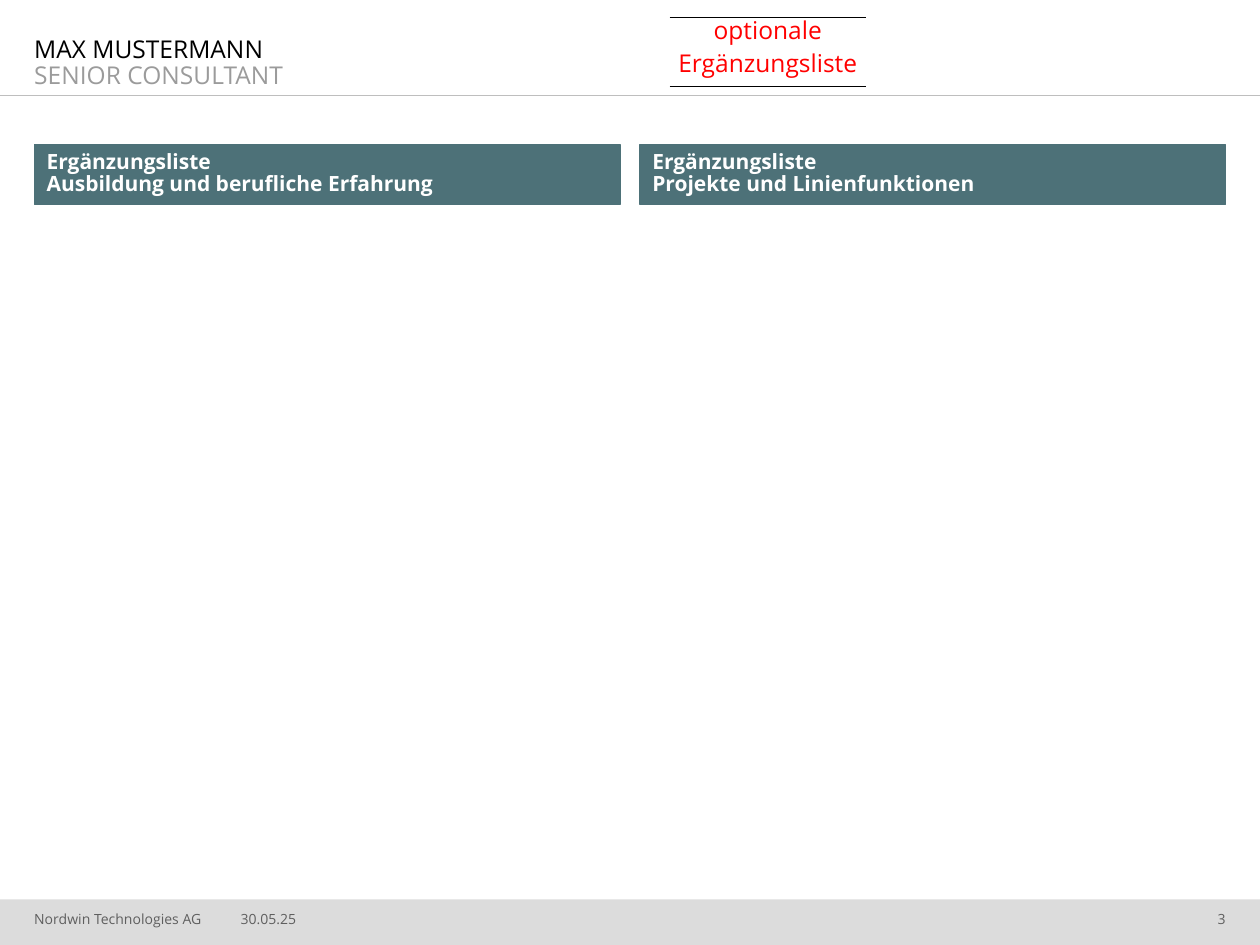
from lxml.etree import SubElement
from pptx import Presentation
from pptx.dml.color import RGBColor
from pptx.enum.shapes import MSO_CONNECTOR, MSO_SHAPE
from pptx.enum.text import MSO_ANCHOR, MSO_AUTO_SIZE, PP_ALIGN
from pptx.oxml.ns import qn
from pptx.util import Cm, Pt

FONT = "Open Sans"
SLIDE_WIDTH, SLIDE_HEIGHT = 25.4, 19.05
MARGIN = 0.69
TEAL, GREY = "4D7178", "5F5F5F"


def color(hex_value):
    return RGBColor.from_string(hex_value)


def apply_format(target, values):
    for name, value in values.items():
        setattr(target, name, value)


def place(shape, box):
    names = ("left", "top", "width", "height")
    apply_format(shape, dict(zip(names, map(Cm, box))))


def format_frame(shape, insets, anchor=MSO_ANCHOR.TOP, wrap=True):
    left, top, right, bottom = map(Cm, insets)
    apply_format(shape.text_frame, {
        "margin_left": left, "margin_top": top,
        "margin_right": right, "margin_bottom": bottom,
        "auto_size": MSO_AUTO_SIZE.NONE,
        "vertical_anchor": anchor, "word_wrap": wrap,
    })


def write_lines(paragraph, lines, size, bold=False, align=PP_ALIGN.LEFT, before=0):
    """Fill one paragraph with (text, colour) lines parted by line breaks."""
    apply_format(paragraph, {
        "alignment": align, "line_spacing": 0.88, "space_before": Pt(before),
    })
    for index, (text, hex_value) in enumerate(lines):
        if index:
            paragraph.add_line_break()
        run = paragraph.add_run()
        run.text = text
        apply_format(run.font, {"name": FONT, "size": Pt(size), "bold": bold})
        run.font.color.rgb = color(hex_value)


def add_rule(shapes, left, right, y, hex_value):
    rule = shapes.add_connector(MSO_CONNECTOR.STRAIGHT, Cm(left), Cm(y), Cm(right), Cm(y))
    rule.line.color.rgb = color(hex_value)
    rule.line.width = Pt(0.75)
    SubElement(rule._element.spPr, qn("a:effectLst"))


def build_footer(slide, box):
    left, top, width, height = box
    band = slide.shapes.add_shape(MSO_SHAPE.RECTANGLE, *map(Cm, box))
    band.shadow.inherit = False
    band.fill.solid()
    band.fill.fore_color.rgb = color("DCDCDC")
    band.line.fill.background()

    # Company, date and page number
    entries = (
        ("Nordwin Technologies AG", MARGIN, 3.95, PP_ALIGN.LEFT),
        ("30.05.25", 4.85, 2.03, PP_ALIGN.LEFT),
        ("3", width - MARGIN - 1.8, 1.8, PP_ALIGN.RIGHT),
    )
    for text, offset, entry_width, align in entries:
        entry = slide.shapes.add_textbox(
            Cm(left + offset), Cm(top), Cm(entry_width), Cm(height))
        format_frame(entry, (0, 0, 0, 0.36), MSO_ANCHOR.BOTTOM)
        write_lines(entry.text_frame.paragraphs[0], [(text, GREY)], 8, align=align)


def build_header(slide, box):
    left, top, width, height = box
    title = slide.shapes.title
    place(title, (left + MARGIN, top + 0.71, 19, 1.19))
    format_frame(title, (0, 0, 0, 0.1), MSO_ANCHOR.BOTTOM)
    write_lines(title.text_frame.paragraphs[0],
                [("MAX MUSTERMANN", "000000"), ("SENIOR CONSULTANT", "9B9B9B")], 14)
    add_rule(slide.shapes, left, left + width, top + height, "BEBEBE")


def build_sticker(slide, box):
    left, top, width, height = box
    group = slide.shapes.add_group_shape()
    label = group.shapes.add_textbox(*map(Cm, box))
    format_frame(label, (0, 0.03, 0, 0), wrap=False)
    frame = label.text_frame
    for index, text in enumerate(("optionale", "Ergänzungsliste")):
        paragraph = frame.add_paragraph() if index else frame.paragraphs[0]
        write_lines(paragraph, [(text, "FF0000")], 14,
                    align=PP_ALIGN.CENTER, before=4.2 * index)
    for y in (top, top + height):
        add_rule(group.shapes, left, left + width, y, "000000")


def build_heading(heading, box, topic):
    place(heading, box)
    heading.fill.solid()
    heading.fill.fore_color.rgb = color(TEAL)
    heading.line.color.rgb = color(TEAL)
    heading.line.width = Pt(0.75)
    format_frame(heading, (0.25, 0.13, 0.25, 0.2))
    write_lines(heading.text_frame.paragraphs[0],
                [("Ergänzungsliste", "FFFFFF"), (topic, "FFFFFF")], 12, bold=True)


def build_columns(slide, box, gap, topics):
    left, top, width, height = box
    column_width = (width - gap) / 2
    headings = {shape.placeholder_format.idx: shape for shape in slide.placeholders}
    for index, topic in enumerate(topics):
        column_left = left + index * (column_width + gap)
        build_heading(headings[1 + 2 * index],
                      (column_left, top, column_width, height), topic)
        # The content below each heading stays open
        content = headings[2 + 2 * index]._element
        content.getparent().remove(content)


def main():
    presentation = Presentation()
    presentation.slide_width = Cm(SLIDE_WIDTH)
    presentation.slide_height = Cm(SLIDE_HEIGHT)
    comparison_layout = presentation.slide_layouts[4]
    slide = presentation.slides.add_slide(comparison_layout)

    build_footer(slide, (0, 18.13, SLIDE_WIDTH, 0.92))
    build_header(slide, (0, 0, SLIDE_WIDTH, 1.93))
    build_sticker(slide, (13.5, 0.35, 3.96, 1.4))
    build_columns(slide, (MARGIN, 2.92, SLIDE_WIDTH - 2 * MARGIN, 1.2), 0.4,
                  ("Ausbildung und berufliche Erfahrung",
                   "Projekte und Linienfunktionen"))
    presentation.save("out.pptx")


if __name__ == "__main__":
    main()
